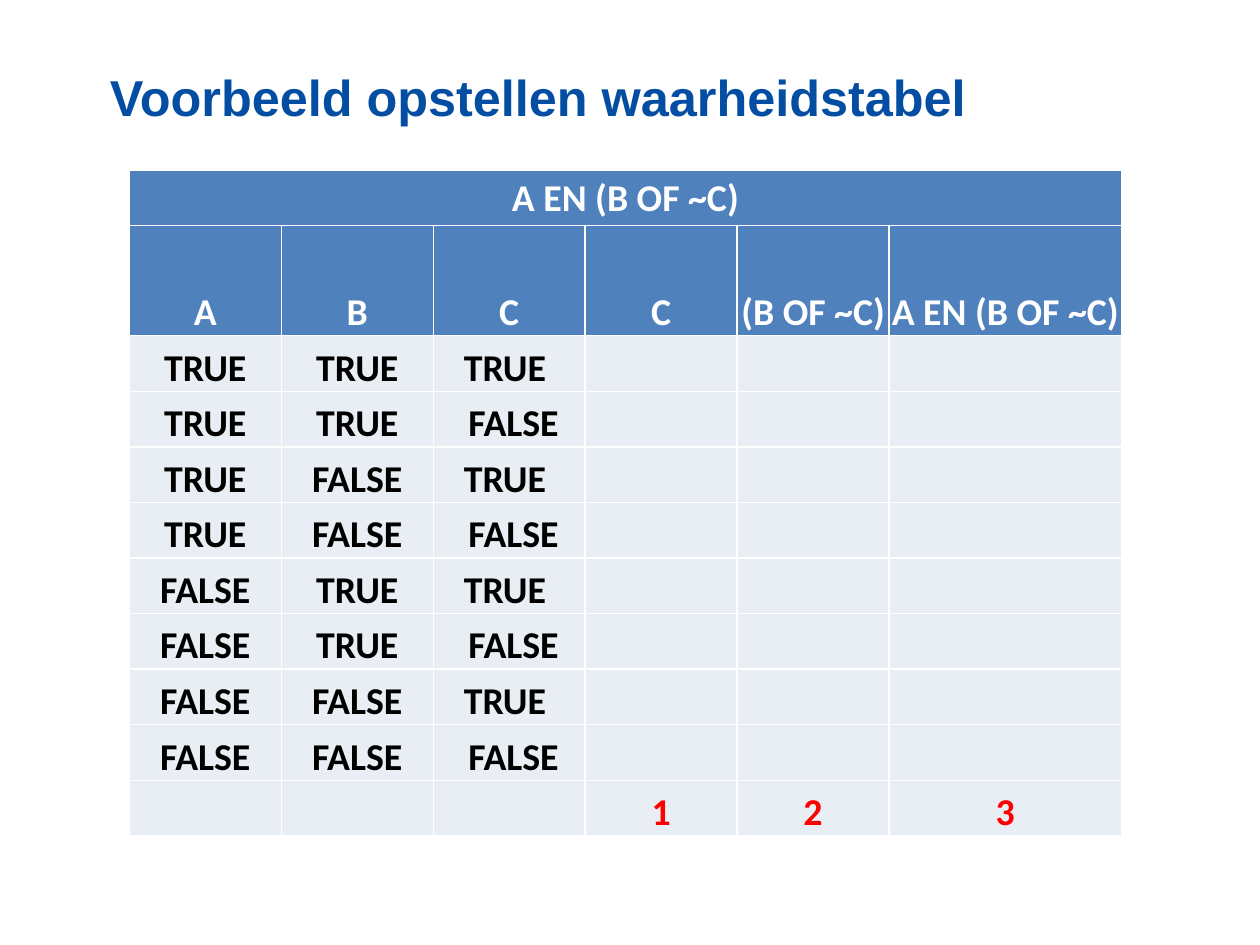
from dataclasses import dataclass
from itertools import product

from lxml.etree import SubElement
from pptx import Presentation
from pptx.dml.color import RGBColor
from pptx.enum.text import MSO_ANCHOR, PP_ALIGN
from pptx.oxml.ns import qn
from pptx.util import Inches, Pt


@dataclass(frozen=True)
class Theme:
    title_font: str = "Arial"
    table_font: str = "Calibri"
    title_size: int = 32
    table_size: int = 24
    border_width: int = 1
    title_color: str = "034EA2"
    header_fill: str = "4F81BD"
    header_color: str = "FFFFFF"
    body_fill: str = "E9EDF4"
    body_color: str = "000000"
    step_color: str = "FF0000"
    border_color: str = "FFFFFF"


class SlideBuilder:
    def __init__(self, slide, theme):
        self.slide = slide
        self.theme = theme

    def format_runs(self, text_frame, font_name, size, color):
        for paragraph in text_frame.paragraphs:
            for run in paragraph.runs:
                run.font.name = font_name
                run.font.size = Pt(size)
                run.font.bold = True
                run.font.color.rgb = RGBColor.from_string(color)

    def add_title(self, text, left, top, width, height):
        box = self.slide.shapes.add_textbox(
            Inches(left), Inches(top), Inches(width), Inches(height))
        frame = box.text_frame
        frame.word_wrap = True
        frame.margin_left = frame.margin_right = 0
        frame.margin_top = frame.margin_bottom = 0
        frame.text = text
        self.format_runs(frame, self.theme.title_font,
                         self.theme.title_size, self.theme.title_color)

    def add_table(self, left, top, column_widths, row_heights):
        table = self.slide.shapes.add_table(
            len(row_heights), len(column_widths), Inches(left), Inches(top),
            Inches(sum(column_widths)), Inches(sum(row_heights))).table
        for column, width in zip(table.columns, column_widths):
            column.width = Inches(width)
        for row, height in zip(table.rows, row_heights):
            row.height = Inches(height)
        return table

    def set_borders(self, cell):
        properties = cell._tc.get_or_add_tcPr()
        for side in ("a:lnL", "a:lnR", "a:lnT", "a:lnB"):
            line = SubElement(properties, qn(side),
                              w=str(Pt(self.theme.border_width)))
            fill = SubElement(line, qn("a:solidFill"))
            SubElement(fill, qn("a:srgbClr"), val=self.theme.border_color)

    def fill_cell(self, cell, text, fill, color, anchor=MSO_ANCHOR.BOTTOM):
        self.set_borders(cell)
        cell.fill.solid()
        cell.fill.fore_color.rgb = RGBColor.from_string(fill)
        cell.margin_left = cell.margin_right = cell.margin_top = Inches(0.01)
        cell.margin_bottom = 0
        cell.vertical_anchor = anchor
        cell.text_frame.text = text
        cell.text_frame.paragraphs[0].alignment = PP_ALIGN.CENTER
        self.format_runs(cell.text_frame, self.theme.table_font,
                         self.theme.table_size, color)


presentation = Presentation()
presentation.slide_width = Inches(11.11)
presentation.slide_height = Inches(8.33)
theme = Theme()
builder = SlideBuilder(
    presentation.slides.add_slide(presentation.slide_layouts[6]), theme)

# Title
builder.add_title("Voorbeeld opstellen waarheidstabel", 0.97, 0.58, 9.5, 0.5)

# Truth table contents: every combination of A, B and C, then the step numbers
formula = "A EN (B OF ~C)"
headings = ["A", "B", "C", "C", "(B OF ~C)", formula]
third_column = {"TRUE": "TRUE\u00a0", "FALSE": "\u00a0FALSE"}
combinations = [[a, b, third_column[c], "", "", ""]
                for a, b, c in product(("TRUE", "FALSE"), repeat=3)]
steps = ["", "", "", "1", "2", "3"]

# Truth table rows with their fill and text colour
header_style = (theme.header_fill, theme.header_color)
body_style = (theme.body_fill, theme.body_color)
step_style = (theme.body_fill, theme.step_color)
rows = [(headings, header_style),
        *((values, body_style) for values in combinations),
        (steps, step_style)]

table = builder.add_table(1.14, 1.5, [1.34] * 5 + [2.05],
                          [0.49, 0.97] + [0.49] * 9)
for column_index in range(len(headings)):
    builder.fill_cell(table.cell(0, column_index),
                      "" if column_index else formula,
                      *header_style, MSO_ANCHOR.MIDDLE)
table.cell(0, 0).merge(table.cell(0, len(headings) - 1))
for row_index, (values, style) in enumerate(rows, start=1):
    for column_index, value in enumerate(values):
        builder.fill_cell(table.cell(row_index, column_index), value, *style)

presentation.save("out.pptx")
